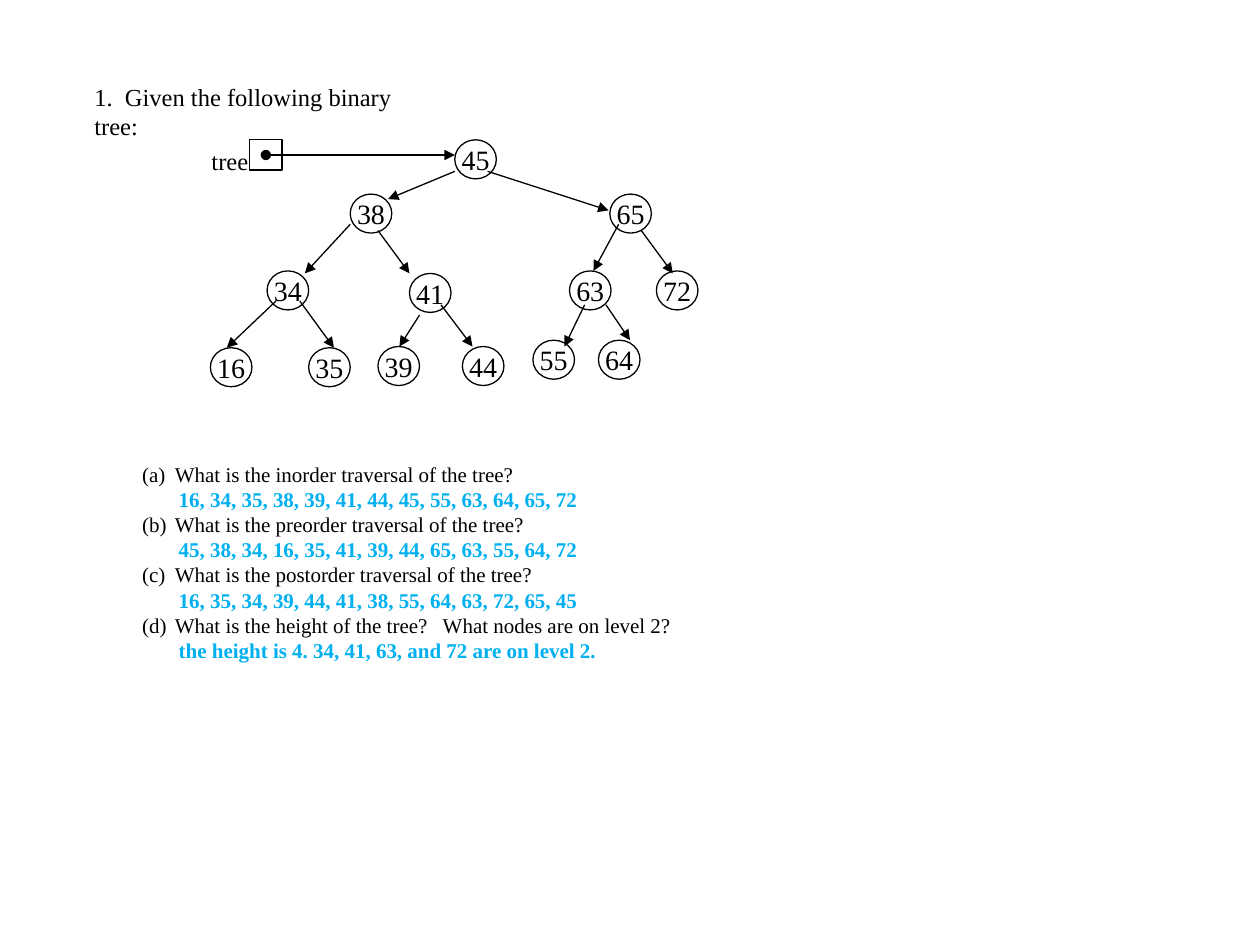
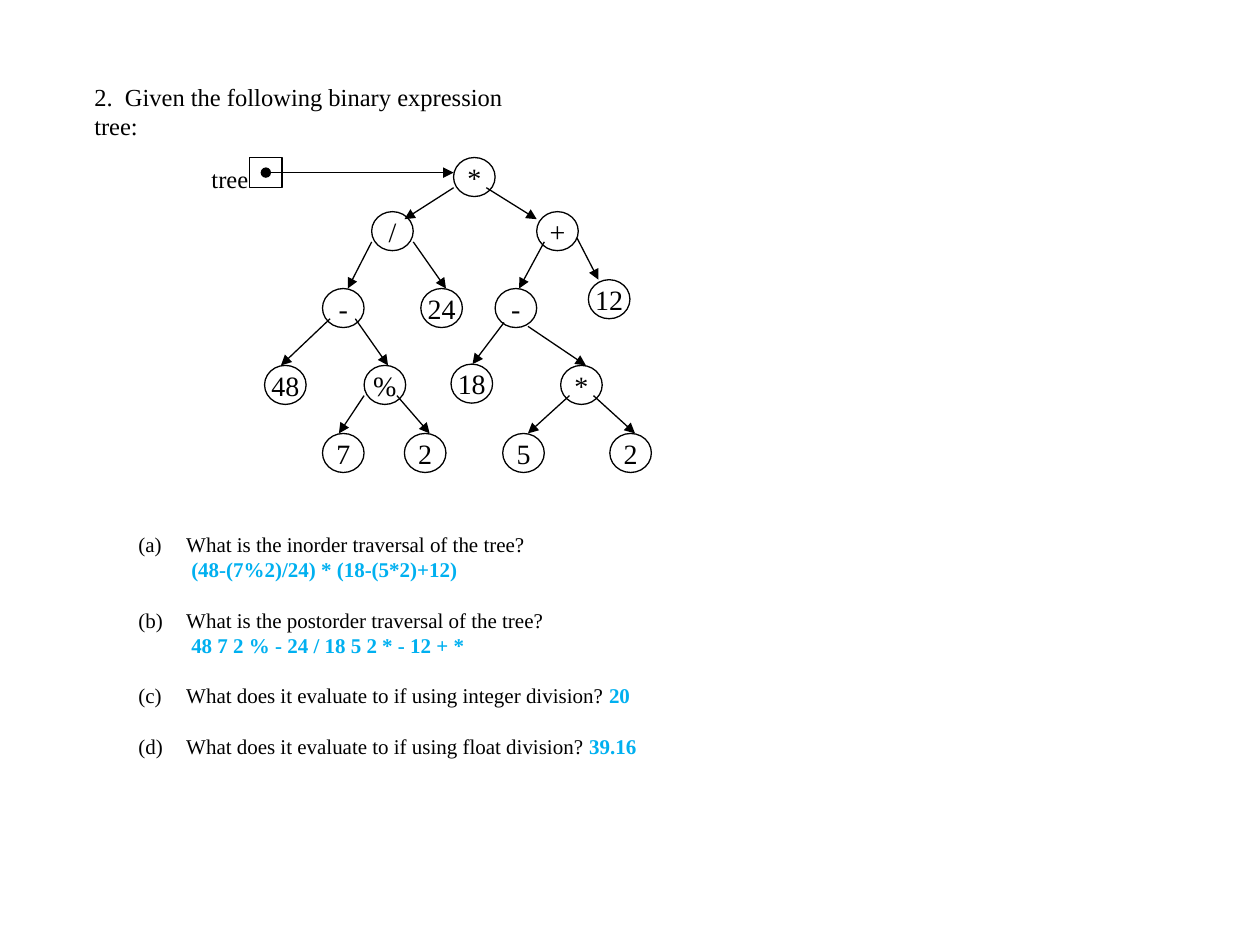
from typing import NamedTuple, Optional

from lxml.etree import SubElement
from pptx import Presentation
from pptx.dml.color import RGBColor
from pptx.enum.shapes import MSO_CONNECTOR, MSO_SHAPE
from pptx.enum.text import MSO_ANCHOR, PP_ALIGN
from pptx.oxml.ns import qn
from pptx.util import Inches, Pt

FONT = "Times New Roman"
BLACK = "000000"
ANSWER_BLUE = "00B0F0"
LINE_WIDTH = Pt(0.75)
TITLE_SIZE, NODE_SIZE, QUESTION_SIZE = 14, 16, 12
NODE_WIDTH, NODE_HEIGHT = 0.33, 0.31
POINTER_LEFT, POINTER_WIDTH, POINTER_HEIGHT = 1.98, 0.26, 0.24


class Arrow(NamedTuple):
    start_x: float
    start_y: float
    end_x: float
    end_y: float


class Node(NamedTuple):
    label: str
    left: float
    top: float
    from_parent: Optional[Arrow] = None


class Question(NamedTuple):
    text: str
    answer: str
    same_line: bool = False


class QuestionList(NamedTuple):
    left: float
    top: float
    width: float
    height: float
    hanging: float
    answer_indent: float
    gap: float
    questions: list[Question]


class Exercise(NamedTuple):
    title: str
    title_width: float
    nodes: list[Node]
    question_list: QuestionList


EXERCISES = [
    Exercise(
        "1.  Given the following binary tree:", 2.95,
        [
            Node("45", 3.61, 1.11),
            Node("38", 2.78, 1.54, Arrow(3.61, 1.36, 3.08, 1.58)),
            Node("65", 4.84, 1.54, Arrow(3.87, 1.36, 4.83, 1.67)),
            Node("34", 2.12, 2.15, Arrow(2.78, 1.78, 2.42, 2.17)),
            Node("41", 3.25, 2.17, Arrow(3, 1.83, 3.25, 2.17)),
            Node("63", 4.52, 2.15, Arrow(4.91, 1.78, 4.71, 2.15)),
            Node("72", 5.21, 2.15, Arrow(5.09, 1.83, 5.34, 2.17)),
            Node("16", 1.67, 2.76, Arrow(2.19, 2.39, 1.8, 2.76)),
            Node("35", 2.45, 2.76, Arrow(2.38, 2.39, 2.65, 2.76)),
            Node("39", 3, 2.75, Arrow(3.33, 2.5, 3.17, 2.75)),
            Node("44", 3.67, 2.75, Arrow(3.5, 2.42, 3.75, 2.75)),
            Node("55", 4.23, 2.7, Arrow(4.64, 2.42, 4.48, 2.75)),
            Node("64", 4.75, 2.7, Arrow(4.81, 2.42, 5, 2.7)),
        ],
        QuestionList(1.03, 3.61, 4.45, 1.72, 0.26, 0.29, 0, [
            Question("What is the inorder traversal of the tree?",
                     "16, 34, 35, 38, 39, 41, 44, 45, 55, 63, 64, 65, 72"),
            Question("What is the preorder traversal of the tree?",
                     "45, 38, 34, 16, 35, 41, 39, 44, 65, 63, 55, 64, 72"),
            Question("What is the postorder traversal of the tree?",
                     "16, 35, 34, 39, 44, 41, 38, 55, 64, 63, 72, 65, 45"),
            Question("What is the height of the tree?   What nodes are on level 2?",
                     "the height is 4. 34, 41, 63, and 72 are on level 2."),
        ]),
    ),
    Exercise(
        "2.  Given the following binary expression tree:", 3.83,
        [
            Node("*", 3.6, 1.25),
            Node("/", 2.95, 1.68, Arrow(3.6, 1.49, 3.21, 1.74)),
            Node("+", 4.26, 1.68, Arrow(3.86, 1.49, 4.26, 1.74)),
            Node("-", 2.56, 2.29, Arrow(2.95, 1.92, 2.76, 2.29)),
            Node("24", 3.34, 2.29, Arrow(3.28, 1.92, 3.54, 2.29)),
            Node("-", 3.93, 2.29, Arrow(4.32, 1.92, 4.12, 2.29)),
            Node("12", 4.67, 2.22, Arrow(4.58, 1.89, 4.75, 2.22)),
            Node("48", 2.1, 2.9, Arrow(2.62, 2.53, 2.23, 2.9)),
            Node("%", 2.89, 2.9, Arrow(2.82, 2.53, 3.08, 2.9)),
            Node("18", 3.58, 2.89, Arrow(4, 2.56, 3.75, 2.89)),
            Node("*", 4.45, 2.9, Arrow(4.19, 2.59, 4.65, 2.9)),
            Node("7", 2.56, 3.44, Arrow(2.89, 3.14, 2.69, 3.44)),
            Node("2", 3.21, 3.44, Arrow(3.15, 3.14, 3.41, 3.44)),
            Node("5", 3.99, 3.44, Arrow(4.52, 3.14, 4.19, 3.44)),
            Node("2", 4.84, 3.44, Arrow(4.71, 3.14, 5.04, 3.44)),
        ],
        QuestionList(1, 4.17, 4.2, 2.52, 0.38, 0.42, 14.4, [
            Question("What is the inorder traversal of the tree?",
                     "(48-(7%2)/24) * (18-(5*2)+12)"),
            Question("What is the postorder traversal of the tree?",
                     "48 7 2 % - 24 / 18 5 2 * - 12 + *"),
            Question("What does it evaluate to if using integer division? ", "20", True),
            Question("What does it evaluate to if using float division? ", "39.16", True),
        ]),
    ),
]


def color(value: str) -> RGBColor:
    return RGBColor.from_string(value)


def add_run(paragraph, text: str, *, size: float, fill: str = BLACK, bold: bool = False) -> None:
    run = paragraph.add_run()
    run.text = text
    run.font.name = FONT
    run.font.size = Pt(size)
    run.font.bold = bold
    run.font.color.rgb = color(fill)


def add_text_box(slide, left: float, top: float, width: float, height: float, *, wrap: bool = True):
    box = slide.shapes.add_textbox(Inches(left), Inches(top), Inches(width), Inches(height))
    box.text_frame.word_wrap = wrap
    return box.text_frame


def add_outline(slide, kind, left: float, top: float, width: float, height: float):
    shape = slide.shapes.add_shape(kind, Inches(left), Inches(top), Inches(width), Inches(height))
    shape.shadow.inherit = False
    shape.fill.background()
    shape.line.color.rgb = color(BLACK)
    shape.line.width = LINE_WIDTH
    return shape


def add_arrow(slide, arrow: Arrow, *, head: Optional[str] = None) -> None:
    connector = slide.shapes.add_connector(MSO_CONNECTOR.STRAIGHT, *map(Inches, arrow))
    connector.line.color.rgb = color(BLACK)
    connector.line.width = LINE_WIDTH
    line = connector.line._get_or_add_ln()
    if head:
        SubElement(line, qn("a:headEnd"), type=head)
    SubElement(line, qn("a:tailEnd"), type="triangle")
    SubElement(connector._element.spPr, qn("a:effectLst"))


def add_node(slide, node: Node) -> None:
    shape = add_outline(slide, MSO_SHAPE.OVAL, node.left, node.top, NODE_WIDTH, NODE_HEIGHT)
    frame = shape.text_frame
    frame.word_wrap = False
    frame.vertical_anchor = MSO_ANCHOR.MIDDLE
    frame.margin_left = frame.margin_right = frame.margin_top = frame.margin_bottom = 0
    frame.paragraphs[0].alignment = PP_ALIGN.CENTER
    add_run(frame.paragraphs[0], node.label, size=NODE_SIZE)


def add_root_pointer(slide, root: Node) -> None:
    """Draw the labelled box whose arrow leads to the root."""
    add_outline(slide, MSO_SHAPE.RECTANGLE, POINTER_LEFT, root.top, POINTER_WIDTH, POINTER_HEIGHT)
    label = add_text_box(slide, 1.58, root.top, 0.49, 0.33, wrap=False)
    add_run(label.paragraphs[0], "tree", size=TITLE_SIZE)
    middle = root.top + POINTER_HEIGHT / 2
    add_arrow(slide, Arrow(POINTER_LEFT + POINTER_WIDTH / 2, middle, root.left, middle), head="oval")


def indent(paragraph, left: float, first_line: float = 0) -> None:
    properties = paragraph._p.get_or_add_pPr()
    properties.set("marL", str(Inches(left)))
    properties.set("indent", str(Inches(first_line)))


def number(paragraph, position: int) -> None:
    """Letter the paragraph (a), (b), (c) by its position."""
    properties = paragraph._p.get_or_add_pPr()
    SubElement(properties, qn("a:buFont"), typeface=FONT)
    SubElement(properties, qn("a:buAutoNum"), type="alphaLcParenBoth", startAt=str(position))


def add_questions(slide, block: QuestionList) -> None:
    frame = add_text_box(slide, block.left, block.top, block.width, block.height)
    for position, question in enumerate(block.questions, 1):
        paragraph = frame.paragraphs[0] if position == 1 else frame.add_paragraph()
        paragraph.space_before = Pt(block.gap if position > 1 else 0)
        indent(paragraph, block.hanging, -block.hanging)
        number(paragraph, position)
        add_run(paragraph, question.text, size=QUESTION_SIZE)
        if not question.same_line:
            paragraph = frame.add_paragraph()
            indent(paragraph, block.answer_indent)
        add_run(paragraph, question.answer, size=QUESTION_SIZE, fill=ANSWER_BLUE, bold=True)


def add_exercise(presentation, exercise: Exercise) -> None:
    slide = presentation.slides.add_slide(presentation.slide_layouts[6])
    title = add_text_box(slide, 0.65, 0.6, exercise.title_width, 0.33)
    add_run(title.paragraphs[0], exercise.title, size=TITLE_SIZE)
    add_questions(slide, exercise.question_list)
    for node in exercise.nodes:
        add_node(slide, node)
        if node.from_parent:
            add_arrow(slide, node.from_parent)
    add_root_pointer(slide, exercise.nodes[0])


def main() -> None:
    presentation = Presentation()
    presentation.slide_width = Inches(10)
    presentation.slide_height = Inches(7.5)
    for exercise in EXERCISES:
        add_exercise(presentation, exercise)
    presentation.save("out.pptx")


if __name__ == "__main__":
    main()
